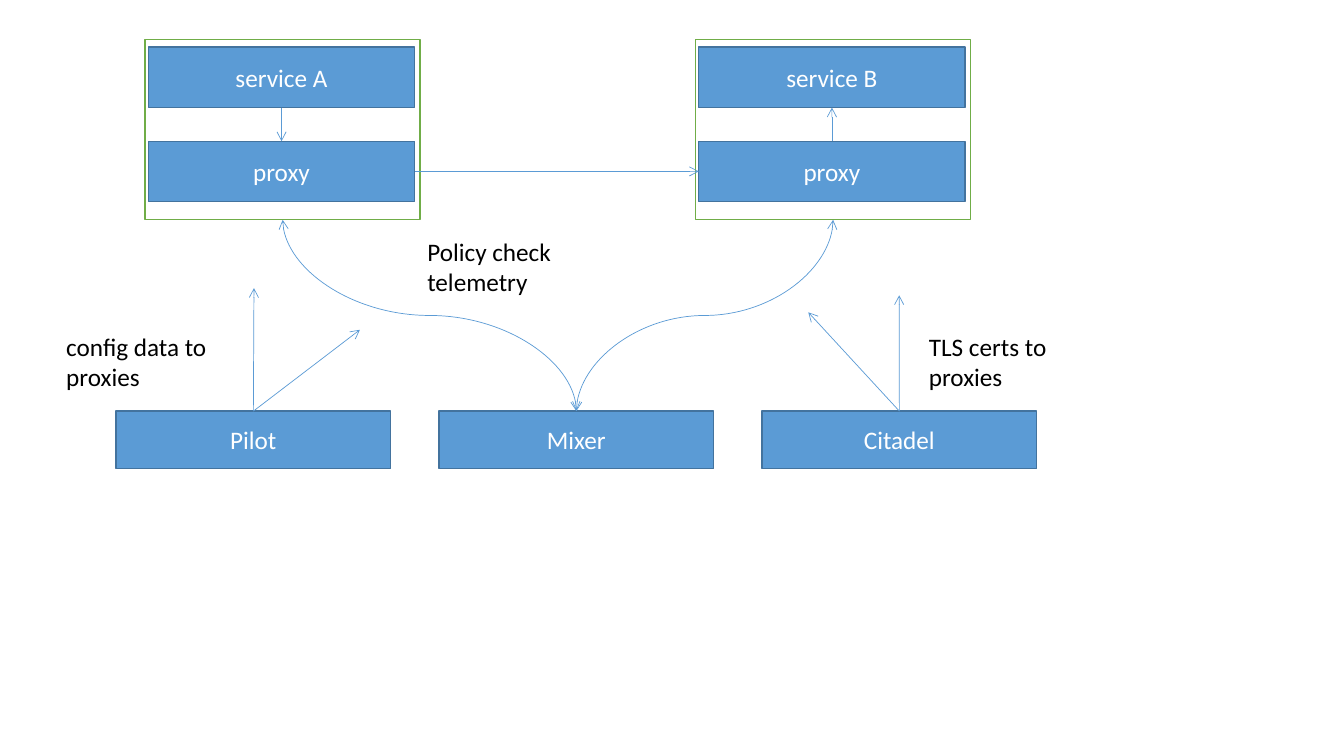
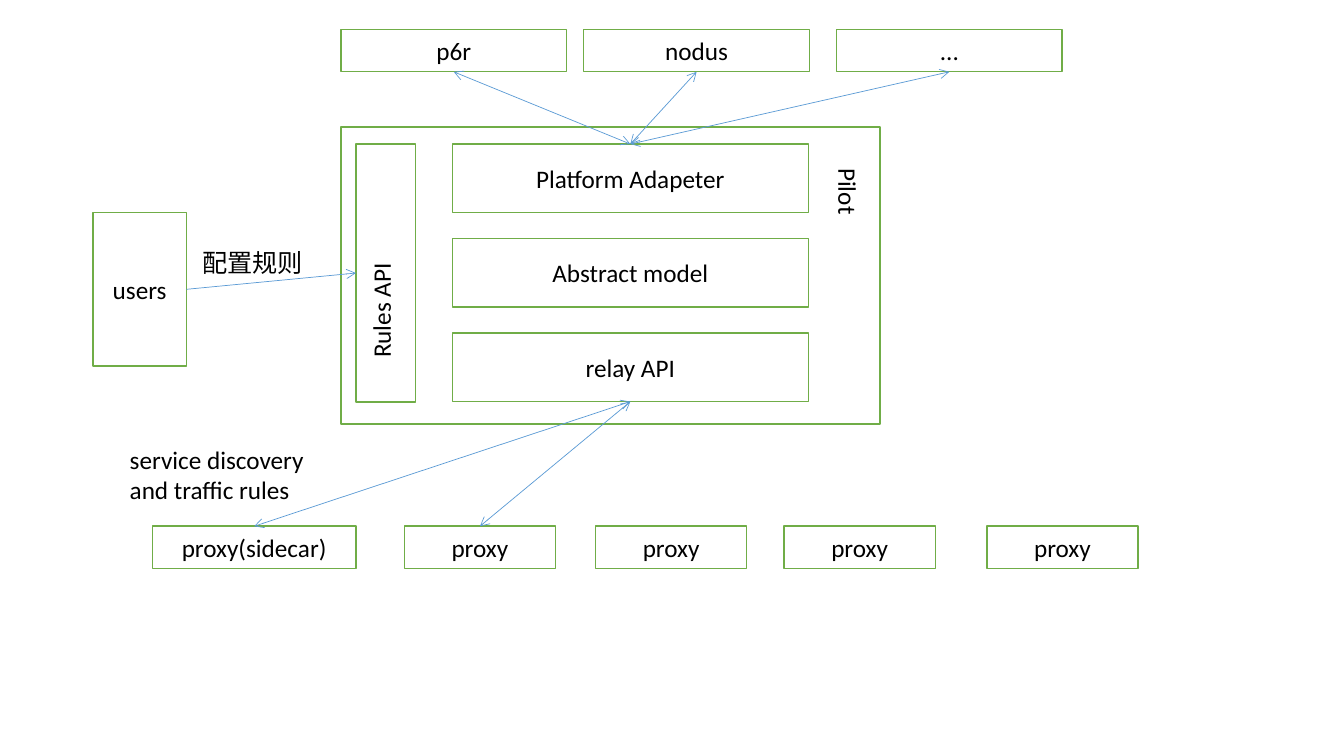
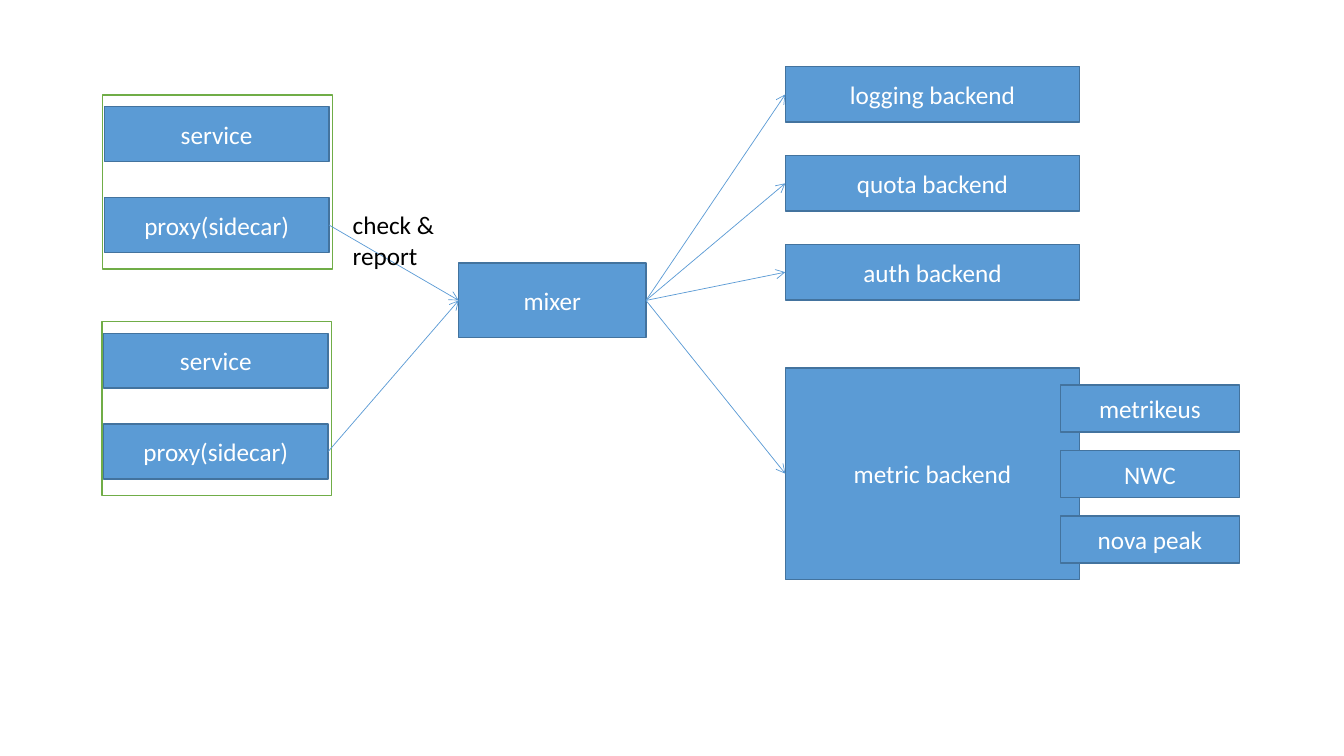
from lxml import etree
from pptx import Presentation
from pptx.dml.color import RGBColor
from pptx.enum import shapes, text
from pptx.oxml.ns import qn
from pptx.util import Cm, Pt

FONT, FONT_SIZE = "Calibri", 18
BLUE, DARK_BLUE, GREEN = "5B9BD5", "43739E", "70AD47"
WHITE, BLACK = "FFFFFF", "000000"
SOLID = (BLUE, DARK_BLUE, WHITE)
OUTLINE = (WHITE, GREEN, BLACK)
TOP, LEFT, BOTTOM, RIGHT = range(4)


def rgb(value):
    return RGBColor.from_string(value)


def write(frame, words, color, align):
    frame.word_wrap = True
    frame.text = words
    for paragraph in frame.paragraphs:
        paragraph.alignment = align
        for run in paragraph.runs:
            run.font.name, run.font.size = FONT, Pt(FONT_SIZE)
            run.font.color.rgb = rgb(color)


def block(slide, x, y, w, h, words="", style=SOLID):
    fill, line, ink = style
    shape = slide.shapes.add_shape(
        shapes.MSO_SHAPE.RECTANGLE, Cm(x), Cm(y), Cm(w), Cm(h))
    shape.shadow.inherit = False
    shape.fill.solid()
    shape.fill.fore_color.rgb = rgb(fill)
    shape.line.color.rgb = rgb(line)
    shape.line.width = Pt(1)
    if words:
        shape.text_frame.vertical_anchor = text.MSO_ANCHOR.MIDDLE
        write(shape.text_frame, words, ink, text.PP_ALIGN.CENTER)
    return shape


def label(slide, x, y, w, h, words, align=text.PP_ALIGN.LEFT, vertical=False):
    box = slide.shapes.add_textbox(Cm(x), Cm(y), Cm(w), Cm(h))
    write(box.text_frame, words, BLACK, align)
    box.text_frame.auto_size = text.MSO_AUTO_SIZE.SHAPE_TO_FIT_TEXT
    if vertical:
        box.text_frame._txBody.bodyPr.set("vert", "eaVert")
    return box


def style_arrow(connector, two_way):
    connector.line.color.rgb = rgb(BLUE)
    connector.line.width = Pt(0.5)
    properties = connector._element.spPr
    line = properties.find(qn("a:ln"))
    for end in ("a:headEnd", "a:tailEnd") if two_way else ("a:tailEnd",):
        etree.SubElement(line, qn(end)).set("type", "arrow")
    etree.SubElement(properties, qn("a:effectLst"))


def arrow(slide, start, start_side, end, end_side=None, two_way=False):
    """Straight arrow from a block's side to another's, or to an (x, y) point."""
    x, y = (0, 0) if end_side is not None else end
    connector = slide.shapes.add_connector(
        shapes.MSO_CONNECTOR.STRAIGHT, Cm(x), Cm(y), Cm(x), Cm(y))
    connector.begin_connect(start, start_side)
    if end_side is not None:
        connector.end_connect(end, end_side)
    style_arrow(connector, two_way)


def curve_down(slide, upper, lower):
    """Two-way S-curve from a block's bottom to a lower block's top.

    The preset curve leaves sideways, so it is laid out flat and turned by 90°.
    """
    x1, y1 = upper.left + upper.width // 2, upper.top + upper.height
    x2, y2 = lower.left + lower.width // 2, lower.top
    middle_x, middle_y = (x1 + x2) // 2, (y1 + y2) // 2
    half_drop, half_shift = (y2 - y1) // 2, (x1 - x2) // 2
    connector = slide.shapes.add_connector(
        shapes.MSO_CONNECTOR.CURVE,
        middle_x - half_drop, middle_y - half_shift,
        middle_x + half_drop, middle_y + half_shift)
    connector._element.spPr.find(qn("a:xfrm")).set("rot", "5400000")
    style_arrow(connector, two_way=True)


def pod(slide, x, y, size, inner, offsets, names):
    """Outlined frame around a service and its proxy; returns all three."""
    frame = block(slide, x, y, *size, style=OUTLINE)
    service, proxy = [
        block(slide, x + dx, y + dy, *inner, name)
        for (dx, dy), name in zip(offsets, names)]
    return frame, service, proxy


def mesh_slide(slide):
    size, inner, offsets = (6.93, 4.55), (6.71, 1.52), ((0.08, 0.2), (0.08, 2.57))
    pod_a, service_a, proxy_a = pod(
        slide, 3.66, 0.99, size, inner, offsets, ("service A", "proxy"))
    pod_b, service_b, proxy_b = pod(
        slide, 17.53, 0.99, size, inner, offsets, ("service B", "proxy"))
    arrow(slide, service_a, BOTTOM, proxy_a, TOP)
    arrow(slide, proxy_b, TOP, service_b, BOTTOM)
    arrow(slide, proxy_a, RIGHT, proxy_b, LEFT)

    pilot, mixer, citadel = [
        block(slide, 2.92 + 8.14 * i, 10.36, 6.93, 1.45, name)
        for i, name in enumerate(("Pilot", "Mixer", "Citadel"))]
    for source, target in (
            (pilot, (6.4, 7.26)), (pilot, (9.07, 8.31)),
            (citadel, (22.66, 7.44)), (citadel, (20.37, 7.87))):
        arrow(slide, source, TOP, target)
    for frame in (pod_a, pod_b):
        curve_down(slide, frame, mixer)

    label(slide, 1.42, 8.23, 4.95, 1.8, "config data to proxies")
    label(slide, 10.52, 5.82, 8.31, 1.8, "Policy check\ntelemetry")
    label(slide, 23.16, 8.23, 4.7, 1.8, "TLS certs to\nproxies")


def pilot_region(slide, x, y):
    """Pilot frame with its parts; returns the rules API and the layers."""
    block(slide, x, y, 13.59, 7.49, style=OUTLINE)
    rules = block(slide, x + 0.38, y + 0.43, 1.5, 6.5, style=OUTLINE)
    label(slide, x + 0.5, y + 0.56, 1.27, 5.51, "Rules API",
          vertical=True).rotation = 180
    layers = [
        block(slide, x + 2.81, y + 0.43 + 2.38 * i, 8.97, 1.73, name, OUTLINE)
        for i, name in enumerate(
            ("Platform Adapeter", "Abstract model", "relay API"))]
    label(slide, x + 12.03, y + 0.79, 1.27, 5.92, "Pilot",
          text.PP_ALIGN.CENTER, vertical=True)
    return rules, layers


def pilot_slide(slide):
    rules, (adapter, _, proxy_api) = pilot_region(slide, 8.59, 3.2)
    for x, name in ((8.59, "p6r"), (14.71, "nodus"), (21.08, "...")):
        platform = block(slide, x, 0.74, 5.69, 1.07, name, OUTLINE)
        arrow(slide, platform, BOTTOM, adapter, TOP, two_way=True)

    sidecar = block(slide, 3.84, 13.26, 5.13, 1.07, "proxy(sidecar)", OUTLINE)
    proxies = [block(slide, x, 13.26, 3.81, 1.07, "proxy", OUTLINE)
               for x in (10.19, 15.01, 19.76, 24.87)]
    for proxy in (sidecar, proxies[0]):
        arrow(slide, proxy_api, BOTTOM, proxy, TOP, two_way=True)
    label(slide, 3.02, 11.07, 6.88, 1.8, "service discovery\nand traffic rules")

    users = block(slide, 2.34, 5.36, 2.36, 3.86, "users", OUTLINE)
    arrow(slide, users, RIGHT, rules, LEFT)
    label(slide, 4.85, 6.1, 3.73, 1.02, "配置规则")


def metric_region(slide, x, y):
    metric = block(slide, x, y, 7.42, 5.33, "metric backend")
    for i, name in enumerate(("metrikeus", "NWC", "nova peak")):
        block(slide, x + 6.93, y + 0.43 + 1.65 * i, 4.52, 1.19, name)
    return metric


def mixer_slide(slide):
    mixer = block(slide, 11.56, 6.63, 4.72, 1.88, "mixer")
    for x, y in ((2.59, 2.39), (2.57, 8.1)):
        _, _, proxy = pod(
            slide, x, y, (5.79, 4.39), (5.66, 1.38),
            ((0.04, 0.3), (0.04, 2.59)), ("service", "proxy(sidecar)"))
        arrow(slide, proxy, RIGHT, mixer, LEFT)

    backends = [
        block(slide, 19.79, 1.68 + 2.24 * i, 7.42, 1.4, f"{name} backend")
        for i, name in enumerate(("logging", "quota", "auth"))]
    backends.append(metric_region(slide, 19.79, 9.27))
    for backend in backends:
        arrow(slide, mixer, RIGHT, backend, LEFT)
    label(slide, 8.64, 5.16, 3.66, 1.8, "check & report")


def main():
    deck = Presentation()
    deck.slide_width, deck.slide_height = Cm(33.87), Cm(19.05)
    for build in (mesh_slide, pilot_slide, mixer_slide):
        build(deck.slides.add_slide(deck.slide_layouts[6]))
    deck.save("out.pptx")


if __name__ == "__main__":
    main()
